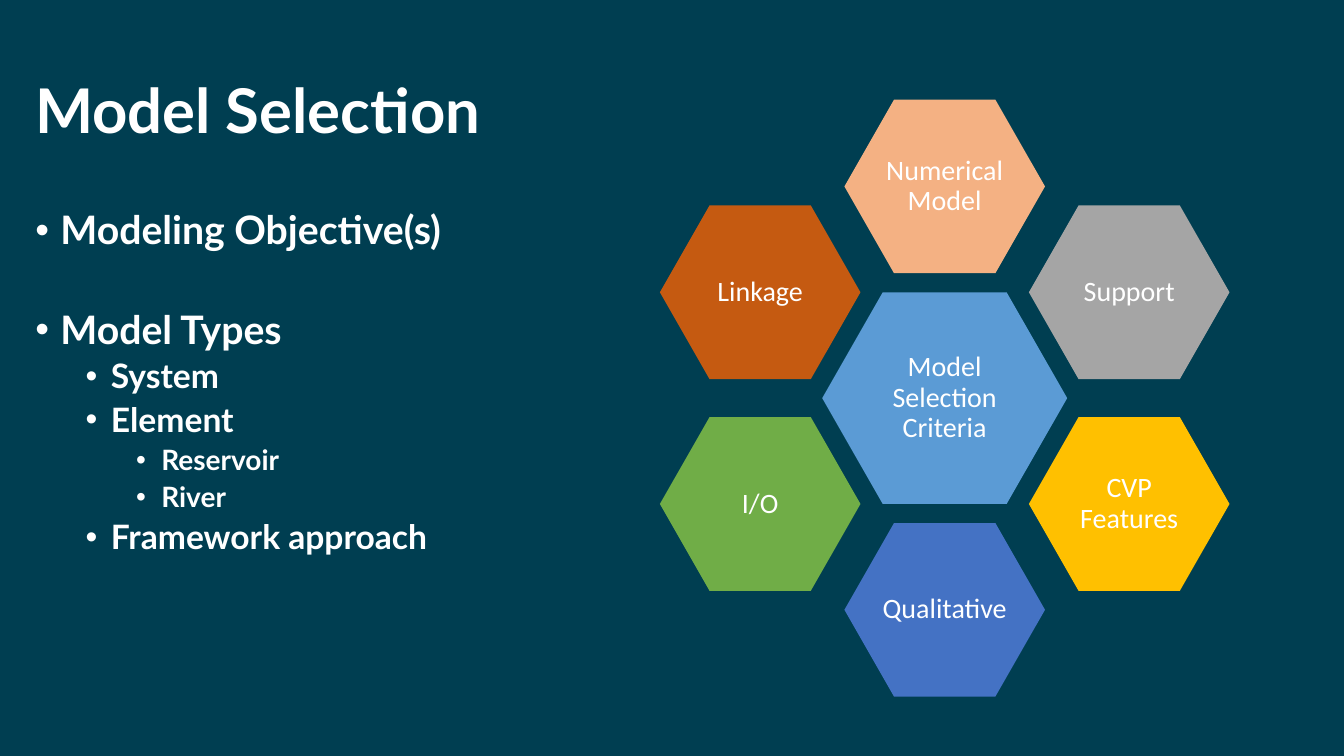
"""Build the Model Selection slide: a nested list beside a ring of hexagons."""
from dataclasses import dataclass

from lxml.etree import SubElement
from pptx import Presentation
from pptx.dml.color import RGBColor
from pptx.enum.shapes import MSO_SHAPE as Shape
from pptx.enum.text import MSO_ANCHOR as Anchor, MSO_AUTO_SIZE as Fit, PP_ALIGN as Align
from pptx.oxml.ns import qn
from pptx.shapes.placeholder import SlidePlaceholder as Holder
from pptx.slide import Slide
from pptx.text.text import _Paragraph as Para
from pptx.util import Pt

NAVY = RGBColor(0x00, 0x3E, 0x51)
WHITE = RGBColor(0xFF, 0xFF, 0xFF)
BLUE = RGBColor(0x5B, 0x9B, 0xD5)
PEACH = RGBColor(0xF4, 0xB1, 0x83)
GRAY = RGBColor(0xA5, 0xA5, 0xA5)
GOLD = RGBColor(0xFF, 0xC0, 0x00)
ROYAL = RGBColor(0x44, 0x72, 0xC4)
GREEN = RGBColor(0x70, 0xAD, 0x47)
RUST = RGBColor(0xC5, 0x5A, 0x11)

HUB_X, HUB_Y = 674.8, 284.4
STEP_X, STEP_Y = 131.8, 151.2
HUB_SIZE = (175, 151.2)
RING_SIZE = (143.3, 124)
SIZES = (28, 24, 20)


@dataclass(frozen=True)
class Item:
    """A list entry with its level and the space above it."""
    text: str
    level: int = 0
    gap: float = 5


@dataclass(frozen=True)
class Hex:
    """A hexagon placed in steps from the hub."""
    text: str
    color: RGBColor
    col: float = 0
    row: float = 0
    size: tuple[float, float] = RING_SIZE


ITEMS = (
    Item("Modeling Objective(s)", gap=0),
    Item("Model Types", gap=41),
    Item("System", 1),
    Item("Element", 1),
    Item("Reservoir", 2),
    Item("River", 2),
    Item("Framework approach", 1),
)

HEXES = (
    Hex("Model Selection Criteria", BLUE, size=HUB_SIZE),
    Hex("Numerical Model", PEACH, 0, -1),
    Hex("Support", GRAY, 1, -0.5),
    Hex("CVP Features", GOLD, 1, 0.5),
    Hex("Qualitative", ROYAL, 0, 1),
    Hex("I/O", GREEN, -1, 0.5),
    Hex("Linkage", RUST, -1, -0.5),
)


def style(para: Para, face: str, size: float, bold: bool) -> None:
    """Set line spacing and the look of the runs."""
    para.line_spacing = 0.9
    for run in para.runs:
        run.font.name = face
        run.font.size = Pt(size)
        run.font.bold = bold
        run.font.color.rgb = WHITE


def place(holder: Holder, top: float, height: float, anchor: Anchor) -> None:
    """Move a placeholder to its band of the slide."""
    holder.left, holder.top = Pt(18), Pt(top)
    holder.width, holder.height = Pt(921.6), Pt(height)
    frame = holder.text_frame
    frame.word_wrap = True
    frame.auto_size = Fit.NONE
    frame.vertical_anchor = anchor


def bullet(para: Para, level: int) -> None:
    """Give a paragraph a round bullet and a hanging indent."""
    props = para._p.get_or_add_pPr()
    props.set("marL", str(Pt(18 + 36 * level)))
    props.set("indent", str(Pt(-18)))
    SubElement(props, qn("a:buFont"), typeface="Arial")
    SubElement(props, qn("a:buChar"), char="•")


def add_title(slide: Slide) -> None:
    """Fill the title."""
    title = slide.shapes.title
    place(title, 28.8, 104.4, Anchor.MIDDLE)
    title.text_frame.text = "Model Selection"
    para = title.text_frame.paragraphs[0]
    para.alignment = Align.LEFT
    style(para, "Lato", 44, True)


def add_list(slide: Slide) -> None:
    """Fill the body with the nested list."""
    body = slide.placeholders[1]
    place(body, 146.9, 342.7, Anchor.TOP)
    body.text_frame.text = "\n".join(item.text for item in ITEMS)
    for para, item in zip(body.text_frame.paragraphs, ITEMS):
        para.level = item.level
        para.space_before = Pt(item.gap)
        bullet(para, item.level)
        style(para, "Lato", SIZES[item.level], True)


def add_hex(slide: Slide, cell: Hex) -> None:
    """Draw one labelled hexagon."""
    width, height = cell.size
    left = HUB_X + cell.col * STEP_X - width / 2
    top = HUB_Y + cell.row * STEP_Y - height / 2
    shape = slide.shapes.add_shape(
        Shape.HEXAGON, Pt(left), Pt(top), Pt(width), Pt(height))
    shape.adjustments[0] = 0.286
    shape.adjustments[1] = 1.155
    shape.shadow.inherit = False
    shape.fill.solid()
    shape.fill.fore_color.rgb = cell.color
    shape.line.fill.background()
    frame = shape.text_frame
    frame.word_wrap = True
    frame.vertical_anchor = Anchor.MIDDLE
    frame.margin_left = frame.margin_right = Pt(0)
    frame.margin_top = frame.margin_bottom = Pt(2)
    frame.text = cell.text
    para = frame.paragraphs[0]
    para.alignment = Align.CENTER
    style(para, "Calibri", 20, False)


def main() -> None:
    """Build and save the deck."""
    deck = Presentation()
    deck.slide_width, deck.slide_height = Pt(960), Pt(540)
    slide = deck.slides.add_slide(deck.slide_layouts[1])
    slide.background.fill.solid()
    slide.background.fill.fore_color.rgb = NAVY
    add_title(slide)
    add_list(slide)
    for cell in HEXES:
        add_hex(slide, cell)
    deck.save("out.pptx")


if __name__ == "__main__":
    main()
